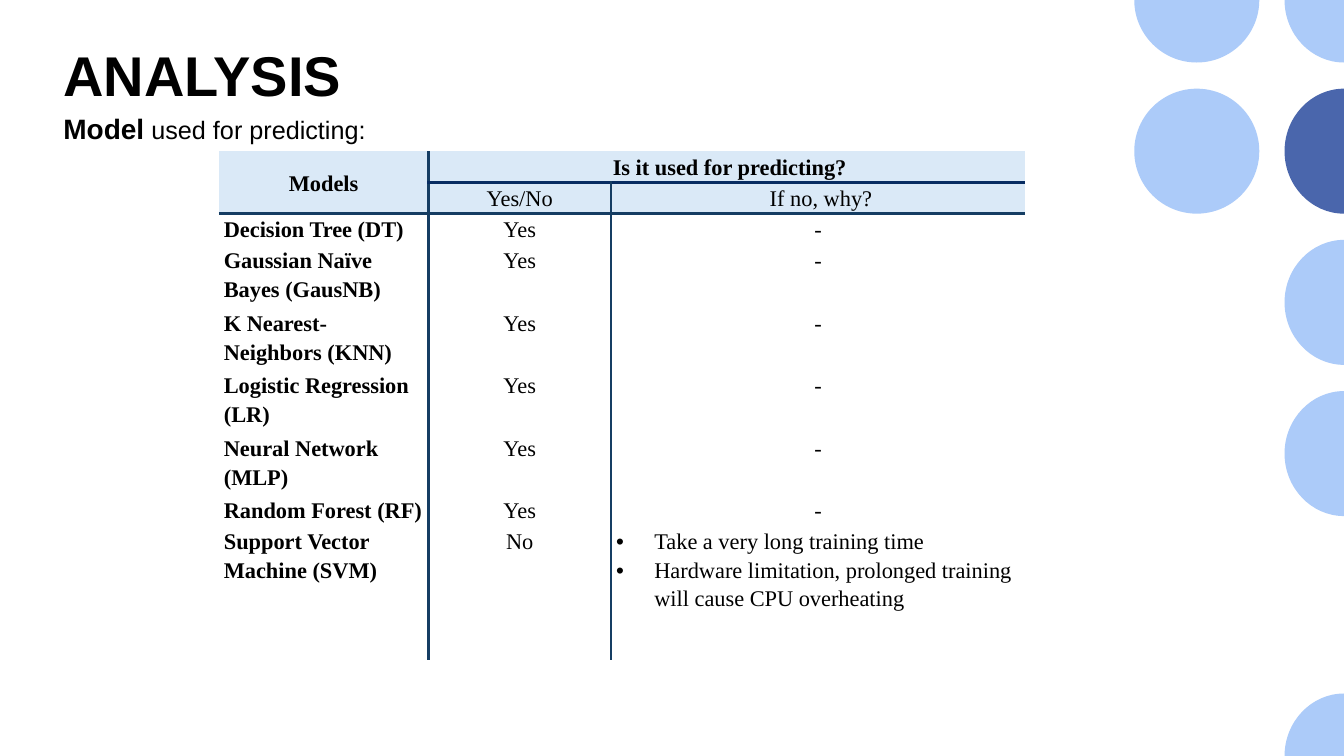
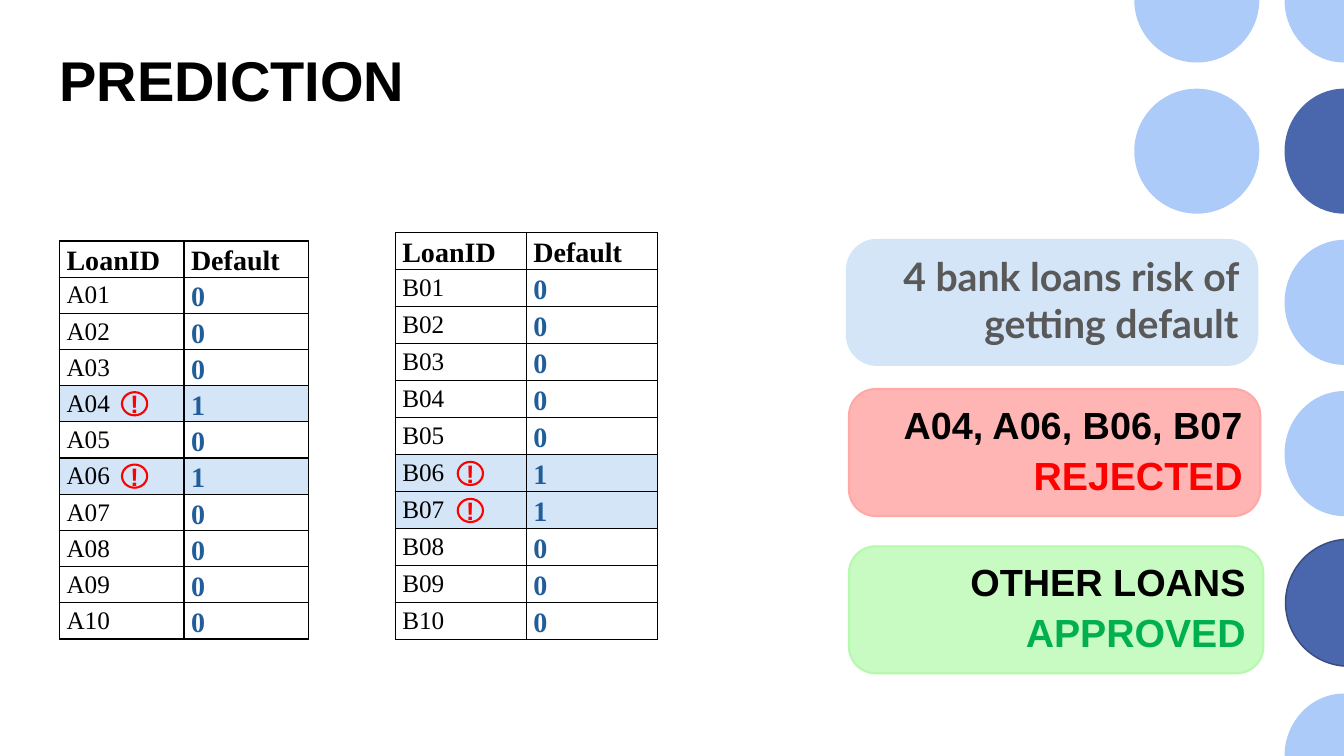
from lxml import etree
from pptx import Presentation
from pptx.dml.color import RGBColor
from pptx.enum.shapes import MSO_SHAPE
from pptx.enum.text import MSO_ANCHOR, PP_ALIGN
from pptx.oxml.ns import qn
from pptx.util import Inches, Pt

OVAL, ROUND = MSO_SHAPE.OVAL, MSO_SHAPE.ROUNDED_RECTANGLE
NODE = MSO_SHAPE.FLOWCHART_CONNECTOR
LEFT, MID, RIGHT = PP_ALIGN.LEFT, PP_ALIGN.CENTER, PP_ALIGN.RIGHT
MIDDLE = MSO_ANCHOR.MIDDLE

BLACK = RGBColor(0x00, 0x00, 0x00)
GRAY = RGBColor(0x59, 0x59, 0x59)
SKY = RGBColor(0xAC, 0xCB, 0xF9)
BLUE = RGBColor(0x4A, 0x66, 0xAC)
RIM = RGBColor(0x37, 0x4B, 0x7F)
EDGE = RGBColor(0x15, 0x3D, 0x63)
NAVY = RGBColor(0x07, 0x2C, 0x62)
HEAD = RGBColor(0xDA, 0xE9, 0xF7)
PALE = RGBColor(0xD4, 0xE5, 0xF7)
VALUE = RGBColor(0x21, 0x5E, 0x99)
RED = RGBColor(0xFF, 0x00, 0x00)
GREEN = RGBColor(0x00, 0xB0, 0x50)
ROSE, ROSE_RIM = RGBColor(0xFF, 0xB5, 0xB3), RGBColor(0xFF, 0xA9, 0xA7)
MINT, MINT_RIM = RGBColor(0xC8, 0xFB, 0xC1), RGBColor(0xB5, 0xFA, 0xAC)

SANS, SERIF, LATO = "Arial", "Times New Roman", "Lato"
WIDE, HIGH = 13.33, 7.5
RADIUS, PITCH = 0.62, 1.5
NEAR, FAR = 11.25, 12.74
BEND = 0.55
NO_STYLE = "{2D5ABB26-0587-4C30-8999-92F81FD0307C}"

MODELS = [
    ("Decision Tree (DT)", 0.31),
    ("Gaussian Naïve Bayes (GausNB)", 0.62),
    ("K Nearest-Neighbors (KNN)", 0.62),
    ("Logistic Regression (LR)", 0.62),
    ("Neural Network (MLP)", 0.62),
    ("Random Forest (RF)", 0.31),
    ("Support Vector Machine (SVM)", 1.33),
]
REASONS = [
    "Take a very long training time",
    "Hardware limitation, prolonged training will cause CPU overheating",
]
CARDS = [
    ((8.4, 2.38, 4.07, 1.24), 0.24, PALE, PALE,
     [("4 bank loans risk of getting default", 28, LATO, GRAY)]),
    ((8.42, 3.86, 4.08, 1.26), 0.21, ROSE, ROSE_RIM,
     [("A04, A06, B06, B07", 27, SANS, BLACK), ("REJECTED", 28, SANS, RED)]),
    ((8.42, 5.42, 4.11, 1.26), 0.21, MINT, MINT_RIM,
     [("OTHER LOANS", 27, SANS, BLACK), ("APPROVED", 28, SANS, GREEN)]),
]


def inches(*vals):
    return [Inches(v) for v in vals]


def apply(item, **vals):
    for name, val in vals.items():
        setattr(item, name, val)


def write(para, text, size, font=SANS, color=BLACK, bold=True):
    run = para.add_run()
    run.text = text
    apply(run.font, size=Pt(size), name=font, bold=bold)
    run.font.color.rgb = color


def add_para(frame, first):
    return frame.paragraphs[0] if first else frame.add_paragraph()


def paint(shape, fill=None, line=None, width=1.5):
    shape.shadow.inherit = False
    for part, color in ((shape.fill, fill), (shape.line.fill, line)):
        if color is None:
            part.background()
        else:
            part.solid()
            part.fore_color.rgb = color
    if line is not None:
        shape.line.width = Pt(width)


def add_box(slide, box):
    frame = slide.shapes.add_textbox(*inches(*box)).text_frame
    frame.word_wrap = True
    return frame


def add_title(slide, text, left, top):
    frame = add_box(slide, (left, top, 8.02, 1.39))
    write(frame.paragraphs[0], text, 40)


def add_part(slide, dots, turns, color):
    """Draw part of a disc; turns names each step as v or h arc, or l line.

    A v arc sets off vertically, an h arc horizontally.
    """
    spots = [inches(*dot) for dot in dots]
    path = slide.shapes.build_freeform(*spots[0], scale=1.0)
    path.add_line_segments(spots[1:])
    shape = path.convert_to_shape()
    paint(shape, color)
    steps = list(shape._element.iter(qn("a:lnTo")))
    base = shape.left, shape.top
    local = [(x - base[0], y - base[1]) for x, y in spots]
    for step, turn, start, end in zip(steps, turns, local, local[1:]):
        if turn == "l":
            continue
        tip = (start[0], end[1]) if turn == "v" else (end[0], start[1])
        pulls = [[round(a + BEND * (b - a)) for a, b in zip(dot, tip)]
                 for dot in (start, end)]
        curve = etree.Element(qn("a:cubicBezTo"))
        for x, y in pulls + [end]:
            etree.SubElement(curve, qn("a:pt"), x=str(x), y=str(y))
        step.getparent().replace(step, curve)


def add_discs(slide):
    """Draw the discs that run off the top, right and bottom edges."""
    size = 2 * RADIUS
    disc = slide.shapes.add_shape(
        OVAL, *inches(NEAR, PITCH - RADIUS, size, size))
    paint(disc, SKY)
    add_part(slide, [(NEAR, 0), (NEAR + RADIUS, RADIUS), (NEAR + size, 0)],
             "vh", SKY)
    add_part(slide, [(WIDE, HIGH - RADIUS), (FAR, HIGH), (WIDE, HIGH)],
             "hl", SKY)
    for row, color in ((3, SKY), (2, SKY), (1, BLUE)):
        mid = PITCH * row
        add_part(slide, [(WIDE, mid + RADIUS), (FAR, mid),
                         (WIDE, mid - RADIUS)], "hv", color)
    add_part(slide, [(FAR, 0), (WIDE, RADIUS), (WIDE, 0)], "vl", SKY)


def add_grid(slide, left, top, cols, rows):
    """Add a table without any style of its own."""
    box = inches(left, top, sum(cols), sum(rows))
    table = slide.shapes.add_table(len(rows), len(cols), *box).table
    apply(table, first_row=False, horz_banding=False)
    table._tbl.tblPr.find(qn("a:tableStyleId")).text = NO_STYLE
    for col, width in zip(table.columns, cols):
        col.width = Inches(width)
    for row, height in zip(table.rows, rows):
        row.height = Inches(height)
    return table


def set_edges(cell, edges, width):
    """Draw cell borders; edges maps a side (L, R, T, B) to its colour."""
    props = cell._tc.get_or_add_tcPr()
    for side in "LRTB":
        if side in edges:
            line = etree.SubElement(props, qn("a:ln" + side), w=str(Pt(width)))
            fill = etree.SubElement(line, qn("a:solidFill"))
            etree.SubElement(fill, qn("a:srgbClr"), val=str(edges[side]))


def set_cell(cell, fill, pad, edges, width):
    set_edges(cell, edges, width)
    apply(cell, margin_left=Inches(pad), margin_right=Inches(pad),
          margin_top=0, margin_bottom=0)
    if fill is None:
        cell.fill.background()
    else:
        cell.fill.solid()
        cell.fill.fore_color.rgb = fill


def fill_cell(cell, text, size, align=LEFT, color=BLACK, bold=True,
              space=1.16):
    para = cell.text_frame.paragraphs[0]
    apply(para, alignment=align, line_spacing=space)
    write(para, text, size, SERIF, color, bold)


def add_bullets(frame, lines):
    for n, text in enumerate(lines):
        para = add_para(frame, n == 0)
        para.line_spacing = 1.15
        props = para._p.get_or_add_pPr()
        props.set("marL", str(Inches(0.38)))
        props.set("indent", str(-Inches(0.38)))
        etree.SubElement(props, qn("a:buFont"), typeface=SANS)
        etree.SubElement(props, qn("a:buChar"), char="•")
        write(para, text, 16, SERIF, bold=False)


def model_edges(row, col):
    edges = {}
    if col > 0 and (row, col) != (0, 2):
        edges["L"] = EDGE
    if col < 2 and (row, col) != (0, 1):
        edges["R"] = EDGE
    if row < 2:
        edges["B"] = NAVY if row == 0 and col else EDGE
    if row == 1 and col:
        edges["T"] = NAVY
    return edges


def add_models(slide, left, top):
    heights = [0.31, 0.31] + [height for _, height in MODELS]
    table = add_grid(slide, left, top, (2.08, 1.81, 4.11), heights)
    for row in range(len(heights)):
        for col in range(3):
            set_cell(table.cell(row, col), HEAD if row < 2 else None, 0.05,
                     model_edges(row, col), 2.25)
    table.cell(0, 0).merge(table.cell(1, 0))
    table.cell(0, 1).merge(table.cell(0, 2))
    table.cell(0, 0).vertical_anchor = MIDDLE
    for row, col, text, bold in (
            (0, 0, "Models", True), (0, 1, " Is it used for predicting?", True),
            (1, 1, "Yes/No", False), (1, 2, " If no, why?", False)):
        fill_cell(table.cell(row, col), text, 16, MID, bold=bold)
    last = len(heights) - 1
    for row, (name, _) in enumerate(MODELS, 2):
        fill_cell(table.cell(row, 0), name, 16)
        used = "No" if row == last else "Yes"
        fill_cell(table.cell(row, 1), used, 16, MID, bold=False)
        if row < last:
            fill_cell(table.cell(row, 2), "-", 16, MID, bold=False)
    add_bullets(table.cell(last, 2).text_frame, REASONS)


def add_alert(slide, left, top):
    shape = slide.shapes.add_shape(NODE, *inches(left, top, 0.25, 0.23))
    paint(shape, line=RED)
    frame = shape.text_frame
    apply(frame, word_wrap=False, vertical_anchor=MIDDLE, margin_left=0,
          margin_right=0, margin_top=0, margin_bottom=0)
    frame.paragraphs[0].alignment = MID
    write(frame.paragraphs[0], "!", 18, color=RED)


def add_loans(slide, left, top, width, height, group, risky):
    """List ten loans of one group and flag the risky ones."""
    step = height / 11
    big, small = Pt(25.6), Pt(23)
    table = add_grid(slide, left, top, [width / 2] * 2, [step] * 11)
    for row in range(11):
        risk = row in risky
        for col in range(2):
            set_cell(table.cell(row, col), PALE if risk else None, 0.07,
                     dict.fromkeys("LRTB", BLACK), 1)
        name, value = table.cell(row, 0), table.cell(row, 1)
        if row == 0:
            fill_cell(name, "LoanID", 20, space=big)
            fill_cell(value, "Default", 20, space=big)
        else:
            fill_cell(name, f"{group}{row:02}", 18, bold=False, space=small)
            fill_cell(value, str(int(risk)), 20, color=VALUE, space=big)
    for row in risky:
        add_alert(slide, left + 0.62, top + step * row + (step - 0.23) / 2)


def add_card(slide, box, curve, fill, line, lines):
    shape = slide.shapes.add_shape(ROUND, *inches(*box))
    shape.adjustments[0] = curve
    paint(shape, fill, line)
    frame = shape.text_frame
    apply(frame, word_wrap=True, vertical_anchor=MIDDLE,
          margin_bottom=Inches(0.1))
    for n, words in enumerate(lines):
        para = add_para(frame, n == 0)
        apply(para, alignment=RIGHT, space_after=Pt(3))
        write(para, *words)


def build_analysis(slide):
    add_discs(slide)
    add_title(slide, "ANALYSIS", 0.53, 0.35)
    para = add_box(slide, (0.53, 1.06, 6.67, 0.44)).paragraphs[0]
    write(para, "Model", 20)
    write(para, " used for predicting:", 18, bold=False)
    add_models(slide, 2.17, 1.5)


def build_prediction(slide):
    add_discs(slide)
    add_title(slide, "PREDICTION", 0.49, 0.4)
    add_loans(slide, 0.59, 2.39, 2.47, 3.95, "A", (4, 6))
    add_loans(slide, 3.92, 2.31, 2.6, 4.04, "B", (6, 7))
    for card in CARDS:
        add_card(slide, *card)
    disc = slide.shapes.add_shape(NODE, *inches(12.75, 5.35, 1.25, 1.26))
    paint(disc, BLUE, RIM, 1)


def main():
    deck = Presentation()
    apply(deck, slide_width=Inches(WIDE), slide_height=Inches(HIGH))
    for build in (build_analysis, build_prediction):
        build(deck.slides.add_slide(deck.slide_layouts[6]))
    deck.save("out.pptx")


if __name__ == "__main__":
    main()
